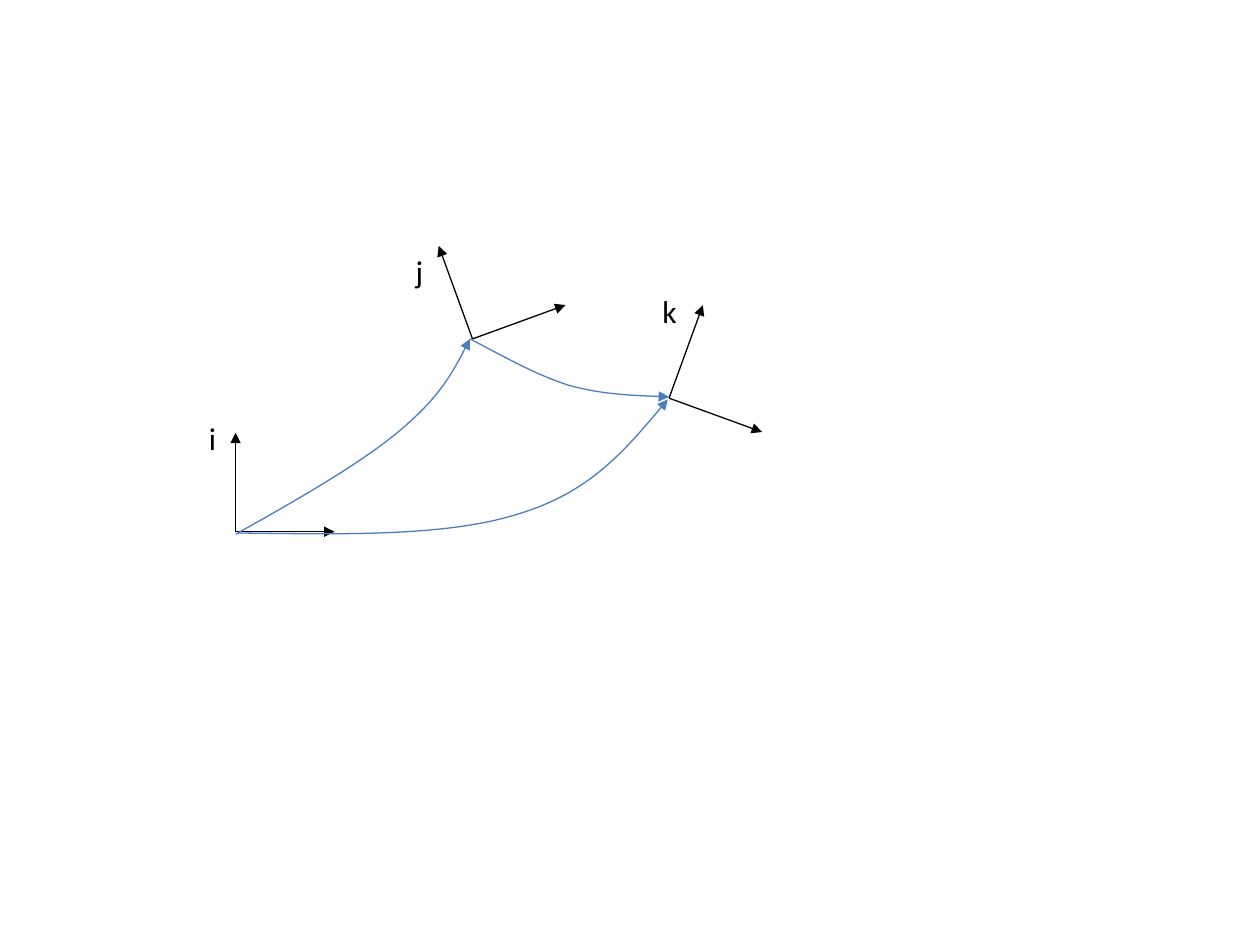
from math import cos, radians, sin

from lxml import etree
from pptx import Presentation
from pptx import util as u
from pptx.dml.color import RGBColor
from pptx.enum import shapes, text
from pptx.oxml.ns import qn

BLACK = RGBColor(0x00, 0x00, 0x00)
BLUE = RGBColor(0x4B, 0x7E, 0xBC)


class Diagram:
    font = "Calibri"
    font_size = u.Pt(18)
    line_width = u.Pt(0.75)
    axis_length = 0.785

    def __init__(self, slide):
        self.s = slide

    def arrow_line(self, sp, color):
        sp.line.color.rgb = color
        sp.line.width = self.line_width
        ln = sp.line._get_or_add_ln()
        etree.SubElement(ln, qn("a:tailEnd"), type="triangle")

    def frame(self, x, y, tilt):
        """Draw two perpendicular axes, turned counter-clockwise by tilt degrees."""
        group = self.s.shapes.add_group_shape()
        for degrees in (tilt, tilt + 90):
            a = radians(degrees)
            end_x = x + self.axis_length * cos(a)
            end_y = y - self.axis_length * sin(a)
            sp = group.shapes.add_connector(
                shapes.MSO_CONNECTOR.STRAIGHT,
                u.Inches(x), u.Inches(y), u.Inches(end_x), u.Inches(end_y))
            self.arrow_line(sp, BLACK)
            etree.SubElement(sp._element.spPr, qn("a:effectLst"))

    def curve(self, *points):
        """Draw a Bezier arrow: a start point, then three points per segment."""
        start, *rest = [(u.Inches(x), u.Inches(y)) for x, y in points]
        builder = self.s.shapes.build_freeform(*start)
        builder.add_line_segments(rest, close=False)
        sp = builder.convert_to_shape()
        sp.shadow.inherit = False
        sp.fill.background()
        self.arrow_line(sp, BLUE)

        path = next(sp._element.iter(qn("a:path")))
        segments = path.findall(qn("a:lnTo"))
        for i in range(0, len(segments), 3):
            bezier = etree.SubElement(path, qn("a:cubicBezTo"))
            for segment in segments[i:i + 3]:
                bezier.append(segment[0])
                path.remove(segment)

    def label(self, letter, x, y):
        sp = self.s.shapes.add_textbox(
            u.Inches(x), u.Inches(y), u.Inches(0.23), u.Inches(0.4))
        tf = sp.text_frame
        tf.word_wrap = True
        tf.auto_size = text.MSO_AUTO_SIZE.SHAPE_TO_FIT_TEXT
        p = tf.paragraphs[0]
        p.text = letter
        p.font.name = self.font
        p.font.size = self.font_size
        p.font.color.rgb = BLACK


def main():
    prs = Presentation()
    prs.slide_width, prs.slide_height = u.Inches(10), u.Inches(7.5)
    d = Diagram(prs.slides.add_slide(prs.slide_layouts[6]))

    d.frame(1.87, 4.22, 0)
    d.frame(3.75, 2.69, 20)
    d.frame(5.31, 3.16, -20)

    # i to j, j to k, i to k
    d.curve((1.87, 4.24), (2.37, 3.96), (2.86, 3.68), (3.17, 3.42),
            (3.48, 3.16), (3.61, 2.93), (3.73, 2.69))
    d.curve((3.73, 2.69), (4, 2.83), (4.26, 2.98), (4.52, 3.06),
            (4.78, 3.13), (5.05, 3.14), (5.31, 3.15))
    d.curve((1.89, 4.23), (2.72, 4.24), (3.54, 4.26), (4.11, 4.08),
            (4.68, 3.91), (4.99, 3.54), (5.3, 3.17))

    d.label("i", 1.56, 3.28)
    d.label("j", 3.2, 1.95)
    d.label("k", 5.16, 2.27)

    prs.save("out.pptx")


if __name__ == "__main__":
    main()
